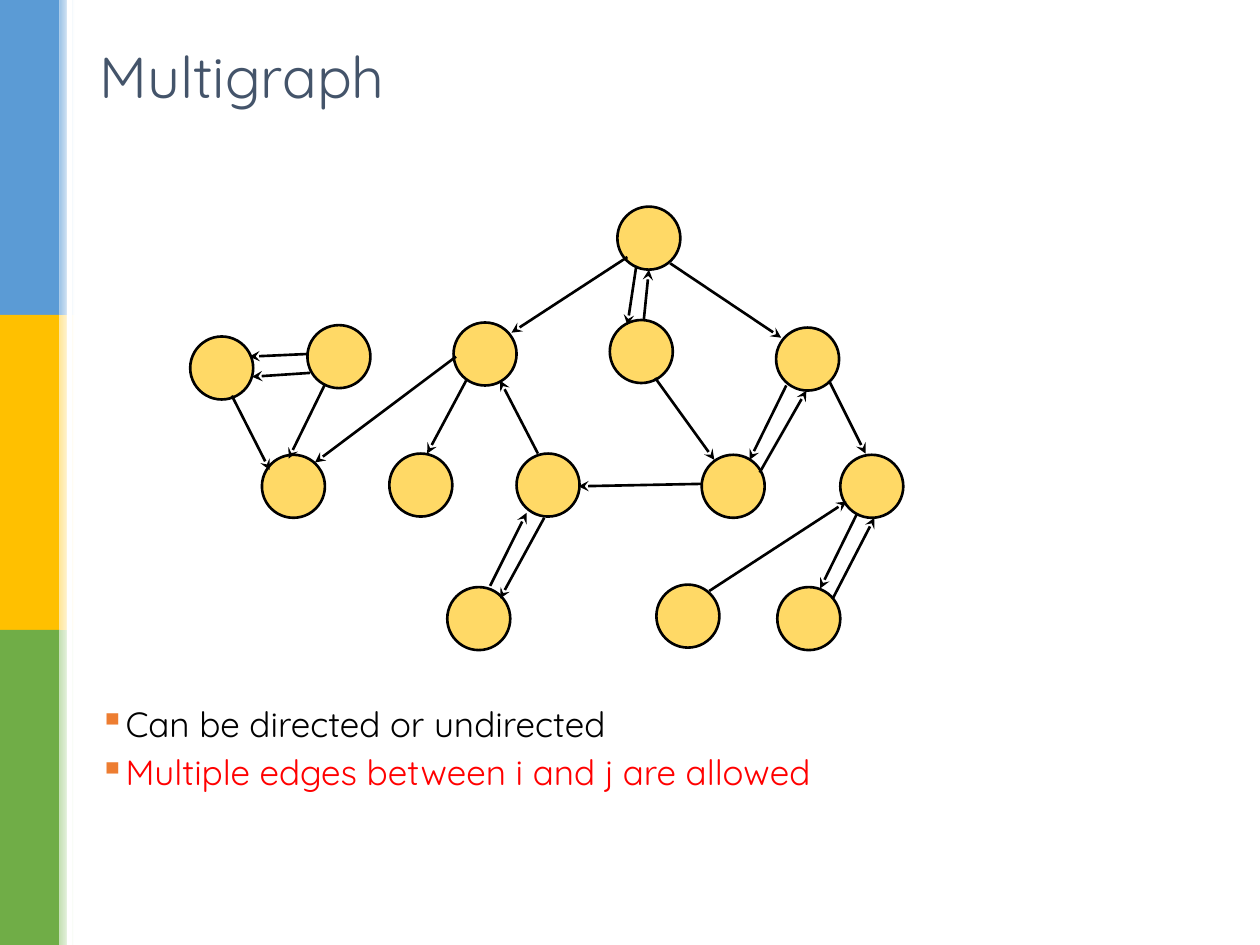
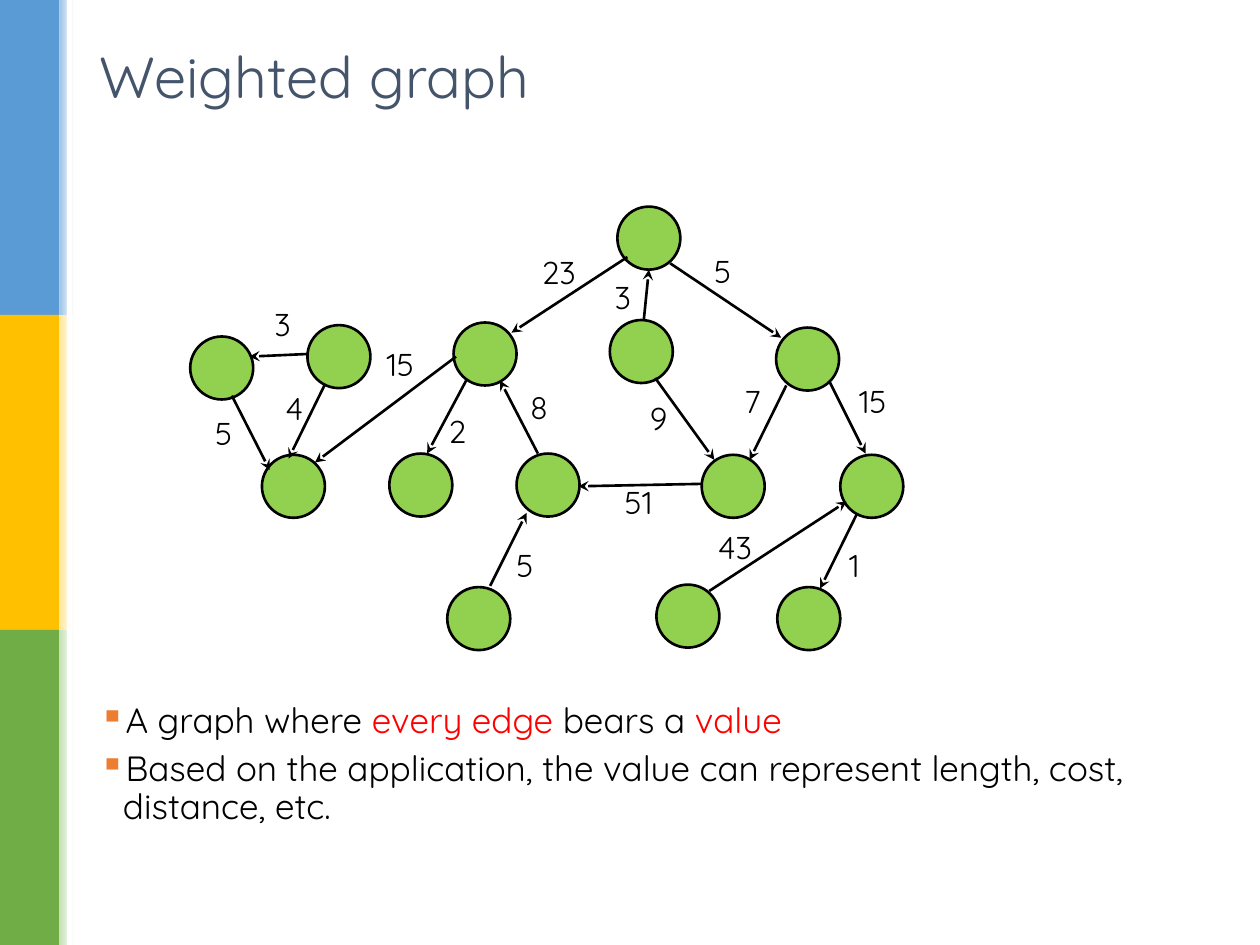
from lxml.etree import SubElement
from pptx import Presentation
from pptx.dml.color import RGBColor
from pptx.enum.shapes import MSO_CONNECTOR, MSO_SHAPE
from pptx.enum.text import MSO_ANCHOR, MSO_AUTO_SIZE, PP_ALIGN
from pptx.oxml.ns import qn
from pptx.util import Pt

FONT = "Quicksand"
BLACK = RGBColor(0x00, 0x00, 0x00)
WHITE = RGBColor(0xFF, 0xFF, 0xFF)
RED = RGBColor(0xFF, 0x00, 0x00)
SLATE = RGBColor(0x44, 0x54, 0x6A)
ORANGE = RGBColor(0xED, 0x7D, 0x31)
YELLOW_NODE = RGBColor(0xFF, 0xD9, 0x66)
GREEN_NODE = RGBColor(0x92, 0xD0, 0x50)
BANDS = [
    (RGBColor(0x5B, 0x9B, 0xD5), RGBColor(0x9D, 0xC3, 0xE6)),
    (RGBColor(0xFF, 0xC0, 0x00), RGBColor(0xFF, 0xE6, 0x99)),
    (RGBColor(0x70, 0xAD, 0x47), RGBColor(0xC5, 0xE0, 0xB4)),
]

PAGE_WIDTH, PAGE_HEIGHT = 720, 540
SIDEBAR_BOX = (0, 0, 42.5, PAGE_HEIGHT)
TITLE_BOX = (49.7, 18.7, 620.6, 49)
GRAPH_ORIGIN = (108.7, 118.1)
NODE_SIZE = 36

TITLE_FORMAT = {"name": FONT, "size": Pt(33), "bold": False}
BODY_FORMAT = {"name": FONT, "size": Pt(20)}
WEIGHT_FORMAT = {"name": FONT, "size": Pt(18)}
BULLET_FORMAT = {"line_spacing": 0.9, "space_before": Pt(6), "alignment": PP_ALIGN.LEFT}

NODES = [
    (0, 74.2), (67, 67.7), (41, 141.8), (150.5, 66.2), (113.8, 141.1),
    (186.5, 141.1), (146.9, 217.4), (244.1, 0), (239.8, 64.8), (334.8, 69.1),
    (292.3, 141.8), (371.5, 141.8), (266.4, 216), (335.5, 217.4),
]

EDGES = [
    ((249.8, 28.8), (183.6, 72)),
    ((296.6, 219.6), (375.1, 168.5)),
    ((274.3, 32.4), (337.7, 74.9)),
    ((157.7, 99.4), (135.4, 141.1)),
    ((340.6, 102.2), (319.7, 144.7)),
    ((198.7, 141.1), (177.1, 99.4)),
    ((365, 99.4), (385.9, 141.1)),
    ((23.8, 108), (45.4, 150.5)),
    ((77, 101.5), (56.2, 144)),
    ((171.4, 216.7), (192.2, 175)),
    ((259.2, 64.8), (262.1, 36)),
    ((151.9, 85.7), (71.3, 146.2)),
    ((380.9, 175.7), (360, 218.2)),
    ((292.3, 158.4), (221.8, 159.8)),
    ((265.7, 97.9), (299.5, 144.7)),
    ((67, 84.2), (33.8, 85.7)),
]

PARALLEL_EDGES = [
    ((367.2, 223.9), (391, 177.8)),
    ((254.9, 33.8), (249.8, 67.7)),
    ((325.4, 151.9), (352.1, 105.1)),
    ((202.3, 177.8), (177.1, 223.9)),
    ((68.4, 95), (35.3, 97.2)),
]

WEIGHTS = [
    ("23", 193.7, 23), ("43", 294.5, 180), ("5", 292.3, 22.3), ("2", 140.4, 113.8),
    ("7", 309.6, 96.5), ("8", 187.2, 100.1), ("15", 375.1, 96.5), ("5", 7.2, 115.2),
    ("4", 47.5, 100.8), ("5", 179.3, 190.1), ("3", 235.4, 37.4), ("15", 105.1, 75.6),
    ("1", 369.4, 190.1), ("51", 241.2, 154.1), ("9", 255.6, 106.6), ("3", 41, 52.6),
]


def apply_format(target, values):
    """Set every named attribute on the target."""
    for name, value in values.items():
        setattr(target, name, value)


def add_span(para, text, values, color):
    """Append a formatted run to a paragraph."""
    span = para.add_run()
    span.text = text
    apply_format(span.font, values)
    span.font.color.rgb = color


def add_plain_shape(page, kind, box):
    """Add a preset shape with no shadow and no outline."""
    shape = page.shapes.add_shape(kind, *map(Pt, box))
    shape.shadow.inherit = False
    shape.line.fill.background()
    return shape


def add_solid_shape(page, kind, box, color):
    """Add a preset shape filled with one colour."""
    shape = add_plain_shape(page, kind, box)
    shape.fill.solid()
    shape.fill.fore_color.rgb = color
    return shape


def add_sidebar(page, box):
    """Stack the coloured bands, each with a fading strip on its right."""
    left, top, width, height = box
    band_height = height / len(BANDS)
    strip_left = left + 0.8 * width
    strip_width = 0.2 * width
    for index, (color, tint) in enumerate(BANDS):
        band_top = top + index * band_height
        add_solid_shape(page, MSO_SHAPE.RECTANGLE,
                        (left, band_top, strip_left - left, band_height), color)
        strip = add_plain_shape(page, MSO_SHAPE.RECTANGLE,
                                (strip_left, band_top, strip_width, band_height))
        strip.fill.gradient()
        strip.fill.gradient_angle = 0
        for stop, position, shade in zip(strip.fill.gradient_stops, (0, 1), (tint, WHITE)):
            stop.position = position
            stop.color.rgb = shade
    add_solid_shape(page, MSO_SHAPE.RECTANGLE,
                    (strip_left + strip_width / 2, top, 2.9, height), WHITE)


def add_title(page, box, text):
    """Move the title placeholder into its box and fill it."""
    title = page.shapes.title
    apply_format(title, dict(zip(("left", "top", "width", "height"), map(Pt, box))))
    frame = title.text_frame
    apply_format(frame, {"vertical_anchor": MSO_ANCHOR.MIDDLE, "auto_size": MSO_AUTO_SIZE.NONE})
    para = frame.paragraphs[0]
    para.alignment = PP_ALIGN.LEFT
    add_span(para, text, TITLE_FORMAT, SLATE)


def add_bullets(page, box, bullets):
    """Write bulleted paragraphs, each a list of text and colour pairs."""
    frame = page.shapes.add_textbox(*map(Pt, box)).text_frame
    frame.word_wrap = True
    for index, spans in enumerate(bullets):
        para = frame.add_paragraph() if index else frame.paragraphs[0]
        apply_format(para, BULLET_FORMAT)
        properties = para._p.get_or_add_pPr()
        properties.set("marL", str(Pt(13.5)))
        properties.set("indent", str(-Pt(13.5)))
        bullet_color = SubElement(properties, qn("a:buClr"))
        SubElement(bullet_color, qn("a:srgbClr"), val=str(ORANGE))
        SubElement(properties, qn("a:buChar"), char="▪")
        for text, color in spans:
            add_span(para, text, BODY_FORMAT, color)


def add_arrow(page, origin, start, end):
    """Draw a black stealth arrow between two points relative to the origin."""
    points = [Pt(base + offset) for point in (start, end) for base, offset in zip(origin, point)]
    arrow = page.shapes.add_connector(MSO_CONNECTOR.STRAIGHT, *points)
    arrow.line.width = Pt(1.5)
    arrow.line.color.rgb = BLACK
    SubElement(arrow.line._get_or_add_ln(), qn("a:tailEnd"), type="stealth")
    SubElement(arrow._element.spPr, qn("a:effectLst"))


def add_weight(page, origin, weight):
    """Write an edge weight at its place in the graph."""
    text, x, y = weight
    width = 14.4 + 10.1 * len(text)
    box = (origin[0] + x, origin[1] + y, width, 28.8)
    frame = page.shapes.add_textbox(*map(Pt, box)).text_frame
    apply_format(frame, {"word_wrap": False, "auto_size": MSO_AUTO_SIZE.SHAPE_TO_FIT_TEXT})
    add_span(frame.paragraphs[0], text, WEIGHT_FORMAT, BLACK)


def add_graph(page, origin, color, edges, weights):
    """Draw the nodes, directed edges and weights of a graph."""
    left, top = origin
    for x, y in NODES:
        node = add_solid_shape(page, MSO_SHAPE.OVAL,
                               (left + x, top + y, NODE_SIZE, NODE_SIZE), color)
        node.line.color.rgb = BLACK
        node.line.width = Pt(1.5)
    for start, end in edges:
        add_arrow(page, origin, start, end)
    for weight in weights:
        add_weight(page, origin, weight)


def add_graph_page(deck, title, color, edges, weights, bullet_box, bullets):
    """Build one slide with a sidebar, title, graph and bullets."""
    page = deck.slides.add_slide(deck.slide_layouts.get_by_name("Title Only"))
    add_sidebar(page, SIDEBAR_BOX)
    add_title(page, TITLE_BOX, title)
    add_graph(page, GRAPH_ORIGIN, color, edges, weights)
    add_bullets(page, bullet_box, bullets)


def main():
    """Build and save the deck."""
    deck = Presentation()
    apply_format(deck, {"slide_width": Pt(PAGE_WIDTH), "slide_height": Pt(PAGE_HEIGHT)})
    add_graph_page(
        deck, "Multigraph", YELLOW_NODE, EDGES + PARALLEL_EDGES, [],
        (49.7, 400.3, 642.2, 116.6),
        [
            [("Can be directed or undirected", BLACK)],
            [("Multiple edges between i and j are allowed", RED)],
        ],
    )
    add_graph_page(
        deck, "Weighted graph", GREEN_NODE, EDGES, WEIGHTS,
        (49.7, 398.2, 642.2, 125.3),
        [
            [("A graph where ", BLACK), ("every edge ", RED), ("bears a ", BLACK), ("value", RED)],
            [("Based on the application, the value can represent length, cost, distance, etc.", BLACK)],
        ],
    )
    deck.save("out.pptx")


main()
